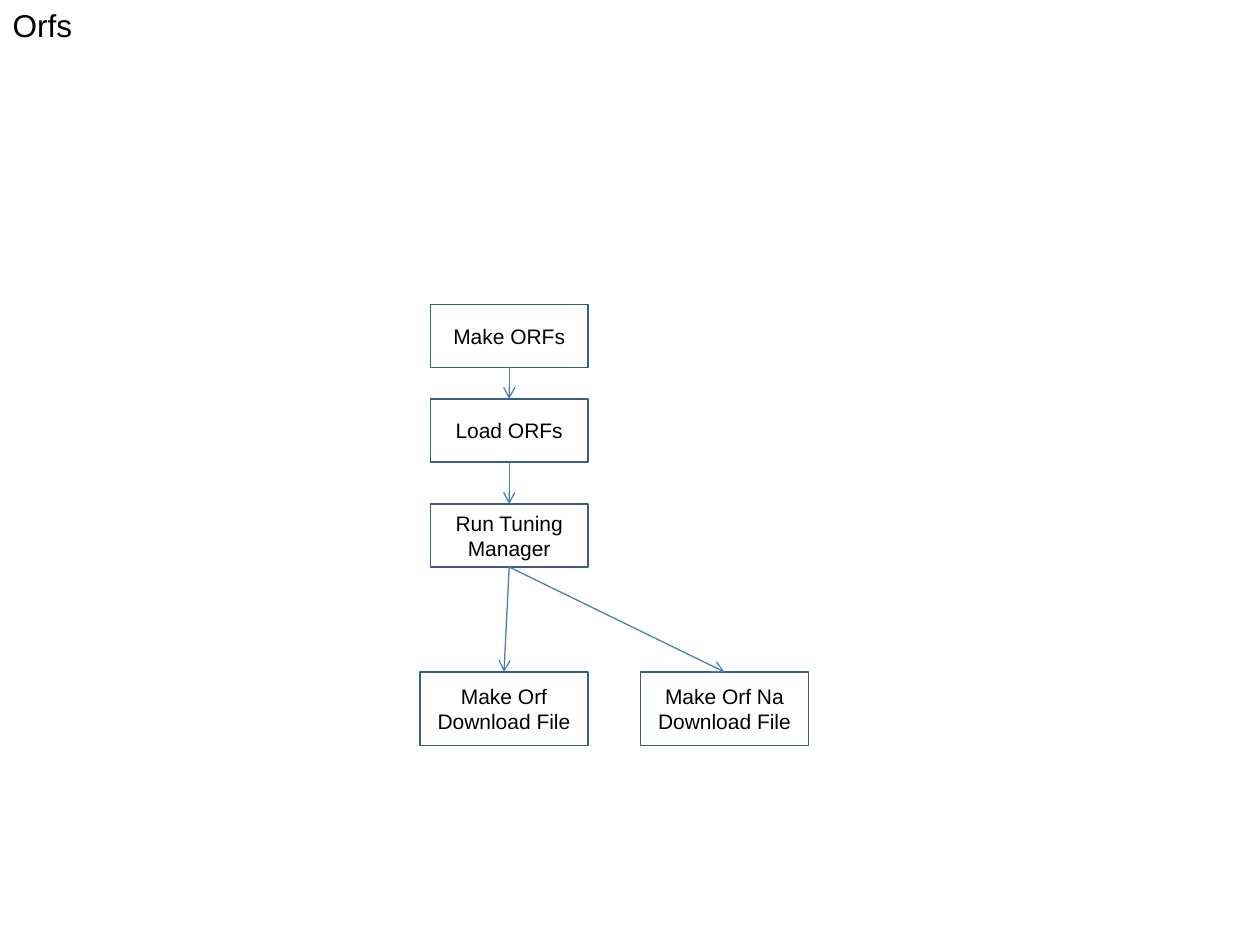
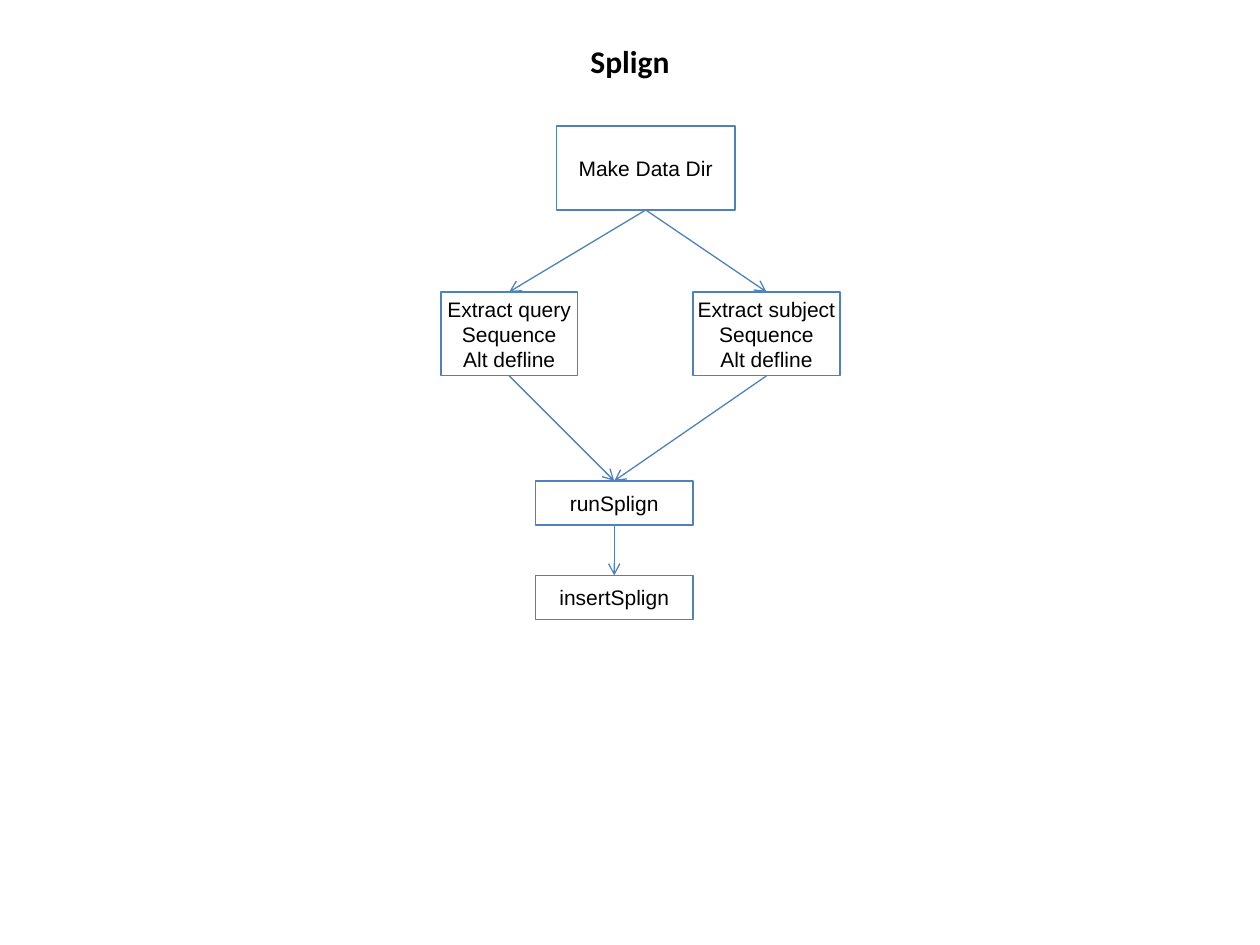
import pptx
import pptx.util
import pptx.dml.color
import pptx.enum.shapes
import pptx.enum.text
import pptx.oxml.ns
import lxml.etree

PX = 7620
COLORS = {
    "text": "000000",
    "white": "FFFFFF",
    "orf_box": "385D8A",
    "orf_arrow": "4A7EBB",
    "splign": "4F81BD",
}
ALIGN = pptx.enum.text.PP_ALIGN
ANCHOR = pptx.enum.text.MSO_ANCHOR


def px(*values):
    return [pptx.util.Emu(v * PX) for v in values]


def rgb(name):
    return pptx.dml.color.RGBColor.from_string(COLORS[name])


def write(tf, text, size=12, font="Arial", bold=False, color="text",
          align=ALIGN.CENTER, anchor=ANCHOR.MIDDLE, wrap=True):
    tf.word_wrap = wrap
    tf.auto_size = pptx.enum.text.MSO_AUTO_SIZE.NONE
    tf.vertical_anchor = anchor
    tf.margin_left = tf.margin_right = pptx.util.Inches(0.1)
    tf.margin_top = tf.margin_bottom = pptx.util.Inches(0.05)
    for i, line in enumerate(text.split("\n")):
        p = tf.add_paragraph() if i else tf.paragraphs[0]
        p.alignment = align
        r = p.add_run()
        r.text = line
        r.font.name = font
        r.font.size = pptx.util.Pt(size)
        r.font.bold = bold
        r.font.color.rgb = rgb(color)


class FlowDeck:
    def __init__(self):
        self.prs = pptx.Presentation()
        self.prs.slide_width, self.prs.slide_height = px(1200, 900)

    def new_slide(self, box_color, arrow_color, wrap):
        self.s = self.prs.slides.add_slide(self.prs.slide_layouts[5])
        self.box_color = box_color
        self.arrow_color = arrow_color
        self.wrap = wrap

    def title(self, text, x, y, w, h, **fmt):
        sp = self.s.shapes.title
        sp.left, sp.top, sp.width, sp.height = px(x, y, w, h)
        write(sp.text_frame, text, size=18, **fmt)

    def box(self, text, x, y, w, h, line=1, fill=None):
        sp = self.s.shapes.add_shape(
            pptx.enum.shapes.MSO_SHAPE.RECTANGLE, *px(x, y, w, h))
        sp.shadow.inherit = False
        if fill:
            sp.fill.solid()
            sp.fill.fore_color.rgb = rgb(fill)
        else:
            sp.fill.background()
        sp.line.color.rgb = rgb(self.box_color)
        sp.line.width = pptx.util.Pt(line)
        write(sp.text_frame, text, wrap=self.wrap)
        return sp

    def arrow(self, upper, lower):
        sp = self.s.shapes.add_connector(
            pptx.enum.shapes.MSO_CONNECTOR.STRAIGHT, 0, 0, 0, 0)
        sp.begin_connect(upper, 2)
        sp.end_connect(lower, 0)
        sp.line.color.rgb = rgb(self.arrow_color)
        sp.line.width = pptx.util.Pt(0.75)
        qn = pptx.oxml.ns.qn
        ln = sp.line._get_or_add_ln()
        lxml.etree.SubElement(ln, qn("a:tailEnd"), type="arrow")
        lxml.etree.SubElement(ln.getparent(), qn("a:effectLst"))


def orfs_slide(deck):
    deck.new_slide("orf_box", "orf_arrow", wrap=True)
    deck.title("Orfs", 0, 0, 100, 48, align=ALIGN.LEFT, anchor=ANCHOR.TOP)
    make = deck.box("Make ORFs", 410, 290, 150, 60)
    load = deck.box("Load ORFs", 410, 380, 150, 60)
    tuning = deck.box("Run Tuning Manager", 410, 480, 150, 60, fill="white")
    deck.arrow(make, load)
    deck.arrow(load, tuning)
    for x, text in ((400, "Make Orf Download File"),
                    (610, "Make Orf Na Download File")):
        deck.arrow(tuning, deck.box(text, x, 640, 160, 70, fill="white"))


def splign_slide(deck):
    deck.new_slide("splign", "splign", wrap=False)
    deck.title("Splign", 60, 36, 1080, 44, font="Calibri", bold=True)
    data_dir = deck.box("Make Data Dir", 530, 120, 170, 80, line=0.75)
    run = deck.box("runSplign", 510, 458, 150, 42)
    insert = deck.box("insertSplign", 510, 548, 150, 42)
    for name, x, w in (("query", 420, 130), ("subject", 660, 140)):
        extract = deck.box(f"Extract {name}\nSequence\nAlt defline",
                           x, 278, w, 80, line=0.75)
        deck.arrow(data_dir, extract)
        deck.arrow(extract, run)
    deck.arrow(run, insert)


def main():
    deck = FlowDeck()
    orfs_slide(deck)
    splign_slide(deck)
    deck.prs.save("out.pptx")


if __name__ == "__main__":
    main()
